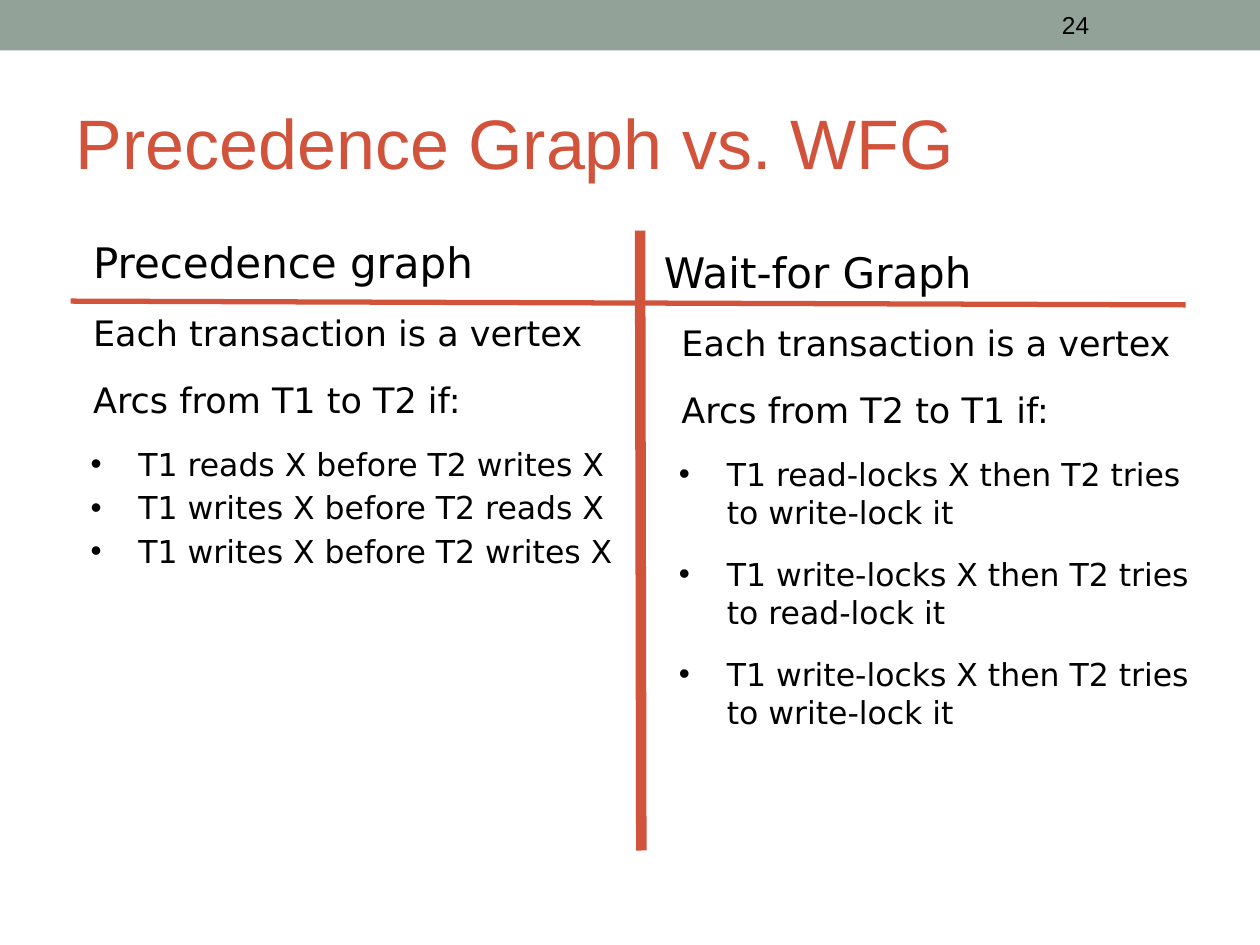
from dataclasses import dataclass

from lxml import etree
from pptx import Presentation
from pptx.dml.color import RGBColor
from pptx.enum.shapes import MSO_CONNECTOR, MSO_SHAPE
from pptx.enum.text import MSO_ANCHOR, PP_ALIGN
from pptx.oxml.ns import qn
from pptx.util import Inches, Pt

STRAIGHT = MSO_CONNECTOR.STRAIGHT
RECTANGLE = MSO_SHAPE.RECTANGLE
MIDDLE = MSO_ANCHOR.MIDDLE
LEFT = PP_ALIGN.LEFT
TITLE_ONLY = 5


@dataclass(frozen=True)
class Theme:
    accent: RGBColor = RGBColor(0xD2, 0x53, 0x3C)
    band: RGBColor = RGBColor(0x93, 0xA2, 0x99)
    ink: RGBColor = RGBColor(0, 0, 0)
    title_font: str = "Arial"
    body_font: str = "DejaVu Sans"
    title_size: int = 40
    heading_size: int = 24
    statement_size: int = 20
    bullet_size: int = 18
    number_size: int = 14
    paragraph_gap: int = 14


THEME = Theme()


@dataclass(frozen=True)
class Column:
    left: float
    top: float
    heading: str
    heading_indent: float
    statements: list[str]
    bullets: list[str]
    bullet_gap: int
    bullet_leading: float


@dataclass(frozen=True)
class Rule:
    start: tuple[float, float]
    end: tuple[float, float]
    weight: int


COLUMNS = [
    Column(0.5, 1.75, "Precedence graph", 0.14,
           ["Each transaction is a vertex", "Arcs from T1 to T2 if:"],
           ["T1 reads X before T2 writes X",
            "T1 writes X before T2 reads X",
            "T1 writes X before T2 writes X"], 0, 1.15),
    Column(5.17, 1.83, "Wait-for Graph", 0,
           ["Each transaction is a vertex", "Arcs from T2 to T1 if:"],
           ["T1 read-locks X then T2 tries to write-lock it",
            "T1 write-locks X then T2 tries to read-lock it",
            "T1 write-locks X then T2 tries to write-lock it"],
           THEME.paragraph_gap, 1),
]

RULES = [
    Rule((5.08, 1.83), (5.09, 6.75), 6),
    Rule((0.56, 2.39), (9.41, 2.42), 3),
]


def style(paragraph, font: str, size: int, color: RGBColor) -> None:
    paragraph.alignment = LEFT
    paragraph.font.name = font
    paragraph.font.size = Pt(size)
    paragraph.font.color.rgb = color


def indent(paragraph, margin: float, first_line: float = 0,
           bullet: str = "") -> None:
    """Set the paragraph's left margin, hanging indent and optional bullet."""
    properties = paragraph._p.get_or_add_pPr()
    properties.set("marL", str(Inches(margin)))
    properties.set("indent", str(Inches(first_line)))
    if bullet:
        etree.SubElement(properties, qn("a:buFont")).set("typeface", "Arial")
        etree.SubElement(properties, qn("a:buChar")).set("char", bullet)


def add_band(slide) -> None:
    band = slide.shapes.add_shape(RECTANGLE, 0, 0, Inches(10), Inches(0.4))
    band.shadow.inherit = False
    band.fill.solid()
    band.fill.fore_color.rgb = THEME.band
    band.line.fill.background()


def set_title(slide, wording: str) -> None:
    title = slide.shapes.title
    title.left, title.top = Inches(0.5), Inches(0.58)
    title.width, title.height = Inches(9), Inches(1.08)
    title.text_frame.text = wording
    title.text_frame.vertical_anchor = MIDDLE
    style(title.text_frame.paragraphs[0], THEME.title_font, THEME.title_size,
          THEME.accent)


def add_slide_number(slide, number: int) -> None:
    frame = slide.shapes.add_textbox(
        Inches(8.33), Inches(0.02), Inches(1.17), Inches(0.36)).text_frame
    frame.word_wrap = True
    frame.vertical_anchor = MIDDLE
    frame.text = str(number)
    style(frame.paragraphs[0], THEME.title_font, THEME.number_size, THEME.ink)


def add_column(slide, column: Column) -> None:
    frame = slide.shapes.add_textbox(
        Inches(column.left), Inches(column.top),
        Inches(4.55), Inches(5.33)).text_frame
    frame.word_wrap = True
    frame.margin_left = frame.margin_right = frame.margin_bottom = Inches(0.1)
    frame.margin_top = Inches(0.13)

    heading = frame.paragraphs[0]
    heading.text = column.heading
    style(heading, THEME.body_font, THEME.heading_size, THEME.ink)
    indent(heading, column.heading_indent)

    for wording in column.statements:
        statement = frame.add_paragraph()
        statement.text = wording
        statement.space_before = Pt(THEME.paragraph_gap)
        style(statement, THEME.body_font, THEME.statement_size, THEME.ink)
        indent(statement, 0.14)

    for position, wording in enumerate(column.bullets):
        item = frame.add_paragraph()
        item.text = wording
        if position == 0:
            item.space_before = Pt(THEME.paragraph_gap)
        else:
            item.space_before = Pt(column.bullet_gap)
            item.line_spacing = column.bullet_leading
        style(item, THEME.body_font, THEME.bullet_size, THEME.ink)
        indent(item, 0.5, -0.38, "•")


def add_rule(slide, rule: Rule) -> None:
    ends = [Inches(value) for value in rule.start + rule.end]
    connector = slide.shapes.add_connector(STRAIGHT, *ends)
    connector.line.color.rgb = THEME.accent
    connector.line.width = Pt(rule.weight)
    etree.SubElement(connector._element.spPr, qn("a:effectLst"))


def main() -> None:
    deck = Presentation()
    deck.slide_width, deck.slide_height = Inches(10), Inches(7.5)
    slide = deck.slides.add_slide(deck.slide_layouts[TITLE_ONLY])
    add_band(slide)
    set_title(slide, "Precedence Graph vs. WFG")
    add_slide_number(slide, 24)
    for column in COLUMNS:
        add_column(slide, column)
    for rule in RULES:
        add_rule(slide, rule)
    deck.save("out.pptx")


if __name__ == "__main__":
    main()
